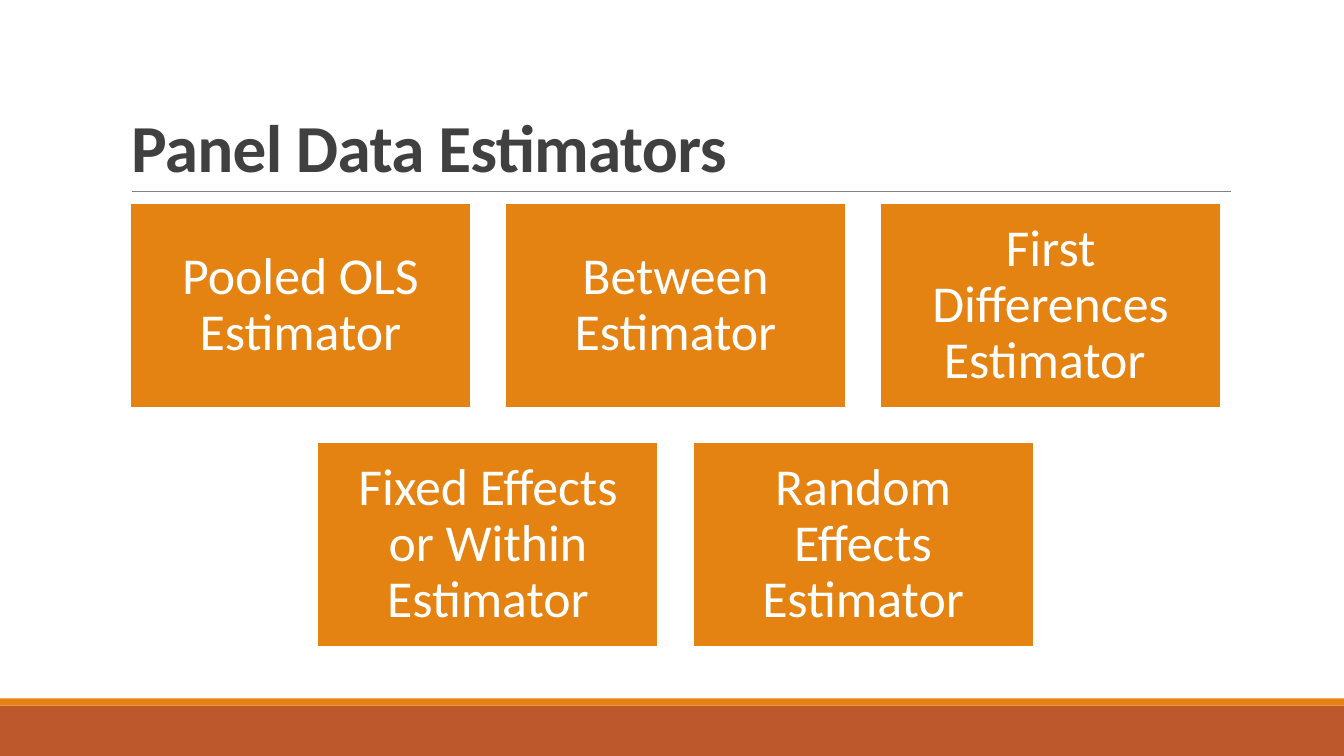
from pptx import Presentation
from pptx.dml.color import RGBColor
from pptx.enum.shapes import MSO_CONNECTOR, MSO_SHAPE
from pptx.enum.text import MSO_ANCHOR, MSO_AUTO_SIZE, PP_ALIGN
from pptx.oxml.ns import qn
from pptx.util import Inches, Pt
from lxml import etree

RECTANGLE = MSO_SHAPE.RECTANGLE
STRAIGHT = MSO_CONNECTOR.STRAIGHT
MIDDLE, BOTTOM = MSO_ANCHOR.MIDDLE, MSO_ANCHOR.BOTTOM
LEFT, CENTER = PP_ALIGN.LEFT, PP_ALIGN.CENTER
NO_AUTOFIT = MSO_AUTO_SIZE.NONE

FONT = "Calibri"
ORANGE, RUST, WHITE = "E48312", "BD582C", "FFFFFF"
DARK_GREY, MID_GREY = "404040", "808080"
SLIDE_WIDTH, SLIDE_HEIGHT = 13.33, 7.5

ESTIMATOR_ROWS = [
    ["Pooled OLS Estimator", "Between Estimator", "First Differences Estimator "],
    ["Fixed Effects or Within Estimator", "Random Effects Estimator"],
]


def color(hex_string):
    return RGBColor.from_string(hex_string)


def add_rectangle(slide, left, top, width, height, fill):
    rectangle = slide.shapes.add_shape(
        RECTANGLE, Inches(left), Inches(top), Inches(width), Inches(height))
    rectangle.shadow.inherit = False
    rectangle.fill.solid()
    rectangle.fill.fore_color.rgb = color(fill)
    rectangle.line.fill.background()
    return rectangle


def write_text(frame, text, size, text_color, align, line_spacing, bold=False):
    paragraph = frame.paragraphs[0]
    paragraph.alignment = align
    paragraph.line_spacing = line_spacing
    run = paragraph.add_run()
    run.text = text
    run.font.name = FONT
    run.font.size = Pt(size)
    run.font.bold = bold
    run.font.color.rgb = color(text_color)
    return run


def add_footer_bands(slide, left, top, width, height):
    stripe = 0.07
    add_rectangle(slide, left, top + stripe, width, height - stripe, RUST)
    add_rectangle(slide, left, top, width, stripe, ORANGE)


def add_heading(slide, left, top, width, height):
    # Title
    title = slide.shapes.title
    title.left, title.top = Inches(left), Inches(top)
    title.width, title.height = Inches(width), Inches(height)
    frame = title.text_frame
    frame.word_wrap = True
    frame.auto_size = NO_AUTOFIT
    frame.vertical_anchor = BOTTOM
    run = write_text(frame, "Panel Data Estimators", 48, DARK_GREY, LEFT, 0.85, True)
    run.font._element.set("spc", "-50")

    # Rule under the title
    inset, bottom = 0.11, Inches(top + height)
    rule = slide.shapes.add_connector(
        STRAIGHT, Inches(left + inset), bottom, Inches(left + width + 0.01), bottom)
    rule.line.color.rgb = color(MID_GREY)
    rule.line.width = Pt(0.5)
    etree.SubElement(rule._element.spPr, qn("a:effectLst"))


def add_estimator_card(slide, left, top, width, height, estimator):
    card = add_rectangle(slide, left, top, width, height, ORANGE)
    card.line.color.rgb = color(WHITE)
    card.line.width = Pt(1.25)
    frame = card.text_frame
    frame.word_wrap = True
    frame.vertical_anchor = MIDDLE
    frame.margin_left = frame.margin_right = Inches(0.15)
    frame.margin_top = frame.margin_bottom = Inches(0.15)
    write_text(frame, estimator, 37, WHITE, CENTER, 0.9)


def add_estimator_grid(slide, left, top, width, height):
    gap = 0.34
    columns = max(len(row) for row in ESTIMATOR_ROWS)
    rows = len(ESTIMATOR_ROWS)
    card_width = (width - gap * (columns - 1)) / columns
    card_height = (height - gap * (rows - 1)) / rows
    for row_index, estimators in enumerate(ESTIMATOR_ROWS):
        # Shorter rows are centred
        row_left = left + (columns - len(estimators)) * (card_width + gap) / 2
        card_top = top + row_index * (card_height + gap)
        for column, estimator in enumerate(estimators):
            add_estimator_card(slide, row_left + column * (card_width + gap),
                               card_top, card_width, card_height, estimator)


def main():
    deck = Presentation()
    deck.slide_width = Inches(SLIDE_WIDTH)
    deck.slide_height = Inches(SLIDE_HEIGHT)
    slide = deck.slides.add_slide(deck.slide_layouts[5])
    slide.background.fill.solid()
    slide.background.fill.fore_color.rgb = color(WHITE)

    add_footer_bands(slide, 0, 6.93, SLIDE_WIDTH, 0.57)
    add_heading(slide, 1.2, 0.31, 11, 1.59)
    add_estimator_grid(slide, 1.29, 2.02, 10.82, 4.4)
    deck.save("out.pptx")


if __name__ == "__main__":
    main()
